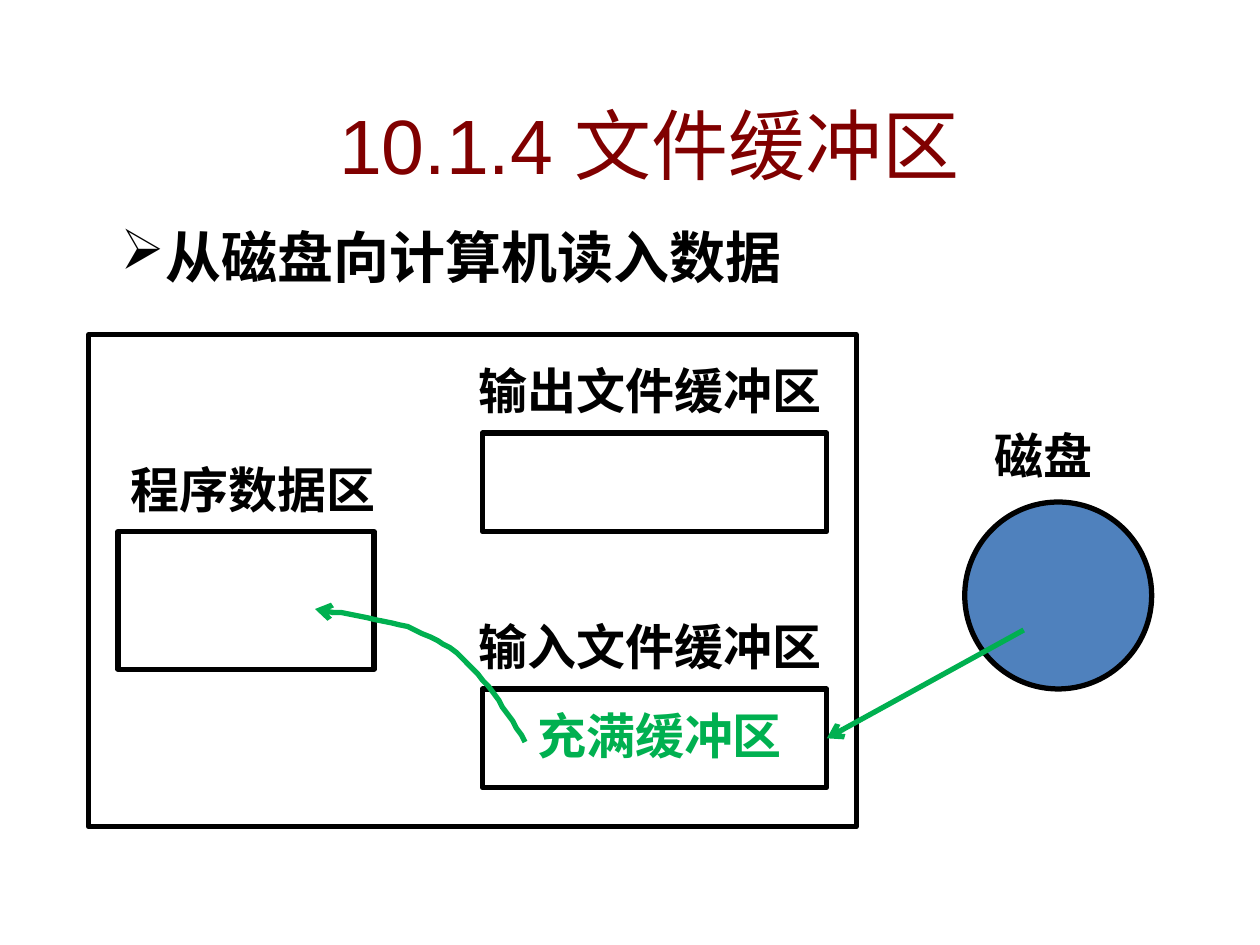
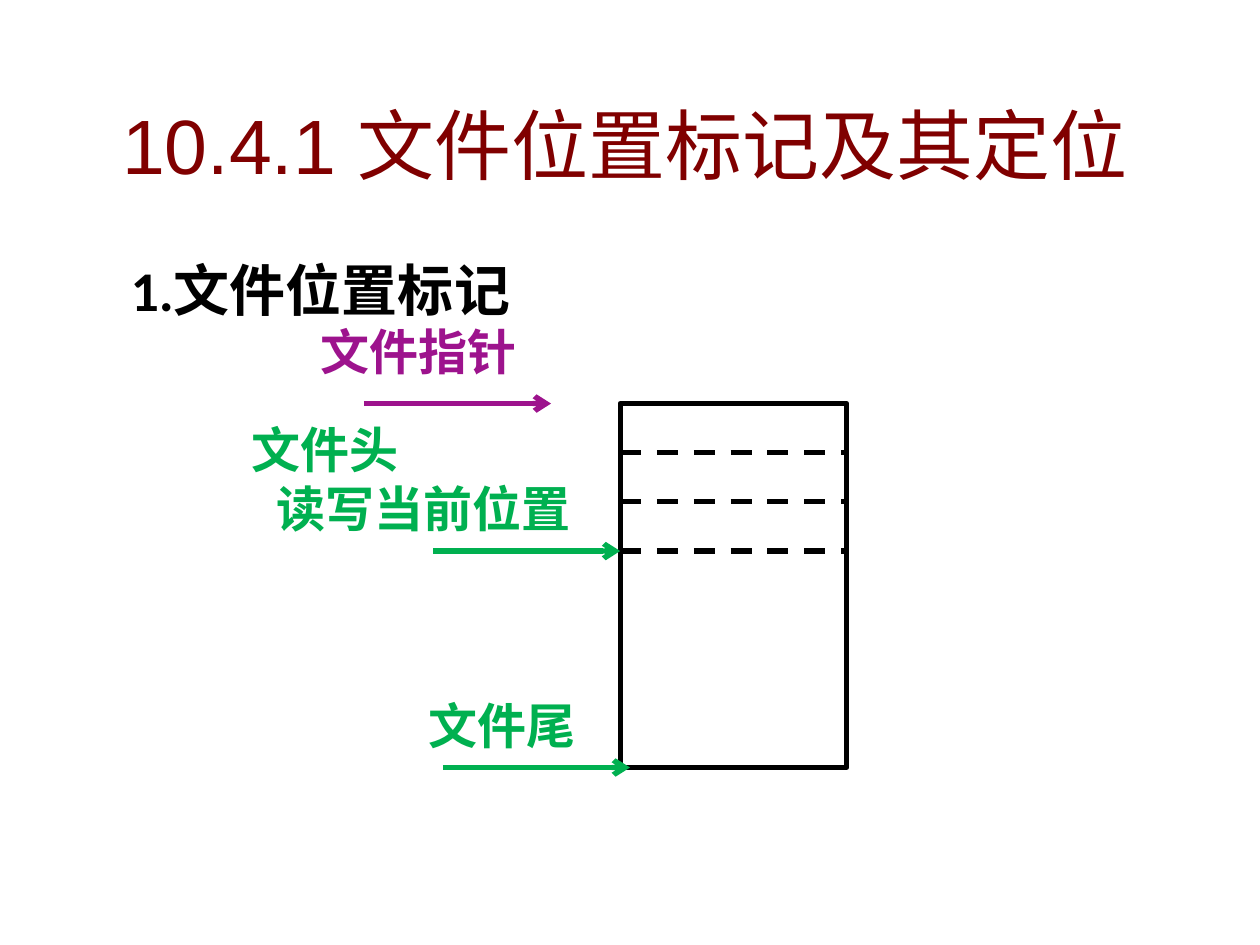
from dataclasses import dataclass

from lxml.etree import SubElement
from pptx import Presentation
from pptx.dml.color import RGBColor
from pptx.enum.dml import MSO_LINE_DASH_STYLE as Dash
from pptx.enum.shapes import MSO_CONNECTOR_TYPE as Link, MSO_SHAPE as Preset
from pptx.enum.text import MSO_ANCHOR as Anchor, MSO_AUTO_SIZE as AutoSize, PP_ALIGN as Align
from pptx.oxml.ns import qn
from pptx.util import Pt

Point = tuple[float, float]


@dataclass(frozen=True)
class Theme:
    ink: str = "000000"
    maroon: str = "800000"
    green: str = "00B050"
    purple: str = "9D138D"
    blue: str = "4F81BD"
    font: str = "Arial"
    heading_font: str = "Calibri"
    title_size: float = 44
    heading_size: float = 32
    label_size: float = 28
    stroke: float = 3


THEME = Theme()


@dataclass(frozen=True)
class Label:
    text: str
    left: float
    top: float
    width: float
    height: float = 41
    color: str = THEME.ink
    size: float = THEME.label_size
    font: str = THEME.font
    align: Align = Align.CENTER
    grows: bool = True


@dataclass(frozen=True)
class Region:
    left: float
    top: float
    width: float
    height: float
    preset: Preset = Preset.RECTANGLE
    fill: str | None = None


@dataclass(frozen=True)
class Stroke:
    start: Point
    end: Point
    color: str = THEME.ink
    dashed: bool = False
    arrow: bool = True


def style_font(paragraph, name: str, size: float, color: str, bold: bool) -> None:
    font = paragraph.font
    font.name, font.size, font.bold = name, Pt(size), bold
    font.color.rgb = RGBColor.from_string(color)


def style_line(line, color: str) -> None:
    line.color.rgb = RGBColor.from_string(color)
    line.width = Pt(THEME.stroke)


def add_arrowhead(shape) -> None:
    outline = shape.line._get_or_add_ln()
    SubElement(outline, qn("a:tailEnd"), type="arrow")


def add_titled_slide(deck, title: str, width: float):
    slide = deck.slides.add_slide(deck.slide_layouts[5])
    holder = slide.shapes.title
    holder.left, holder.top = Pt(22.5), Pt(52)
    holder.width, holder.height = Pt(width), Pt(60.5)
    frame = holder.text_frame
    frame.text = title
    frame.vertical_anchor = Anchor.MIDDLE
    frame.auto_size = AutoSize.NONE
    paragraph = frame.paragraphs[0]
    paragraph.alignment = Align.CENTER
    style_font(paragraph, THEME.font, THEME.title_size, THEME.maroon, False)
    return slide


def draw_label(shapes, label: Label):
    box = shapes.add_textbox(Pt(label.left), Pt(label.top), Pt(label.width), Pt(label.height))
    frame = box.text_frame
    frame.text = label.text
    frame.word_wrap = True
    frame.auto_size = AutoSize.SHAPE_TO_FIT_TEXT if label.grows else AutoSize.NONE
    paragraph = frame.paragraphs[0]
    paragraph.alignment = label.align
    style_font(paragraph, label.font, label.size, label.color, True)
    return paragraph


def draw_region(shapes, region: Region) -> None:
    shape = shapes.add_shape(
        region.preset, Pt(region.left), Pt(region.top), Pt(region.width), Pt(region.height)
    )
    shape.shadow.inherit = False
    if region.fill:
        shape.fill.solid()
        shape.fill.fore_color.rgb = RGBColor.from_string(region.fill)
    else:
        shape.fill.background()
    style_line(shape.line, THEME.ink)


def draw_stroke(shapes, stroke: Stroke) -> None:
    connector = shapes.add_connector(Link.STRAIGHT, *map(Pt, stroke.start + stroke.end))
    style_line(connector.line, stroke.color)
    if stroke.dashed:
        connector.line.dash_style = Dash.DASH
    if stroke.arrow:
        add_arrowhead(connector)
    SubElement(connector._element.spPr, qn("a:effectLst"))


def bezier(controls: list[Point], t: float) -> Point:
    weights = ((1 - t) ** 3, 3 * t * (1 - t) ** 2, 3 * t**2 * (1 - t), t**3)
    x, y = (sum(w * c for w, c in zip(weights, axis)) for axis in zip(*controls))
    return x, y


def draw_curved_arrow(shapes, controls: list[Point], color: str, steps: int = 16) -> None:
    points = [
        bezier(controls[first:first + 4], step / steps)
        for first in range(0, len(controls) - 1, 3)
        for step in range(1, steps + 1)
    ]
    builder = shapes.build_freeform(*controls[0], scale=Pt(1))
    builder.add_line_segments(points, close=False)
    curve = builder.convert_to_shape()
    curve.shadow.inherit = False
    curve.fill.background()
    style_line(curve.line, color)
    add_arrowhead(curve)


def build_buffer_slide(deck) -> None:
    shapes = add_titled_slide(deck, "10.1.4 文件缓冲区", 697.5).shapes
    regions = (
        Region(50.6, 191.3, 438.7, 281.2),
        Region(67.5, 303.8, 146.2, 78.7),
        Region(275.6, 247.5, 196.9, 56.3),
        Region(275.6, 393.8, 196.9, 56.3),
        Region(551.3, 286.9, 106.8, 106.8, Preset.OVAL, THEME.blue),
    )
    for region in regions:
        draw_region(shapes, region)

    heading = draw_label(shapes, Label(
        "从磁盘向计算机读入数据", 61.9, 123.8, 461.5, 46,
        size=THEME.heading_size, align=Align.LEFT,
    ))
    properties = heading._p.get_or_add_pPr()
    bullet = SubElement(properties, qn("a:buChar"), char="➢")
    properties.remove(bullet)
    properties.insert(0, bullet)

    draw_curved_arrow(shapes, [
        (300.2, 424.1), (286.6, 402.2), (273.6, 380.2), (253.4, 367.9),
        (233.3, 355), (206.6, 352), (180, 348.5),
    ], THEME.green)

    labels = (
        Label("程序数据区", 67.5, 258.8, 163.4, align=Align.LEFT),
        Label("输出文件缓冲区", 258.8, 202.5, 225),
        Label("输入文件缓冲区", 258.8, 348.8, 225),
        Label("磁盘", 551.3, 239.9, 90),
        Label("充满缓冲区", 292.5, 399.4, 168.8, color=THEME.green),
    )
    for label in labels:
        draw_label(shapes, label)
    draw_stroke(shapes, Stroke((585, 360), (472.5, 421.9), THEME.green))


def build_position_slide(deck) -> None:
    shapes = add_titled_slide(deck, "10.4.1 文件位置标记及其定位", 669.6).shapes
    left, top, width, height, record = 354.4, 230.6, 129.4, 208, 28.1
    file_parts = shapes.add_group_shape().shapes
    draw_region(file_parts, Region(left, top, width, height))
    for row in range(1, 4):
        y = top + row * record
        draw_stroke(file_parts, Stroke((left, y), (left + width, y), dashed=True, arrow=False))

    labels = (
        Label("文件指针", 163.2, 180, 151.9, color=THEME.purple),
        Label("读写当前位置", 135, 270, 213.8, color=THEME.green),
        Label("文件尾", 236.2, 393.8, 101.3, color=THEME.green),
        Label("文件头", 135, 236.2, 101.3, color=THEME.green),
    )
    for label in labels:
        draw_label(shapes, label)

    arrow_length = 106.9
    markers = (
        (208, top, THEME.purple),
        (247.5, top + 3 * record, THEME.green),
        (253.1, top + height, THEME.green),
    )
    for x, y, color in markers:
        draw_stroke(shapes, Stroke((x, y), (x + arrow_length, y), color))

    heading = draw_label(shapes, Label(
        "1.文件位置标记", 67.5, 135, 602, 50.6, size=THEME.heading_size,
        font=THEME.heading_font, align=Align.LEFT, grows=False,
    ))
    heading.line_spacing = 1.2
    heading.space_before = Pt(8)
    properties = heading._p.get_or_add_pPr()
    properties.set("marL", str(Pt(27)))
    properties.set("indent", str(Pt(-27)))


def main() -> None:
    deck = Presentation()
    deck.slide_width, deck.slide_height = Pt(720), Pt(540)
    build_buffer_slide(deck)
    build_position_slide(deck)
    deck.save("out.pptx")


if __name__ == "__main__":
    main()
